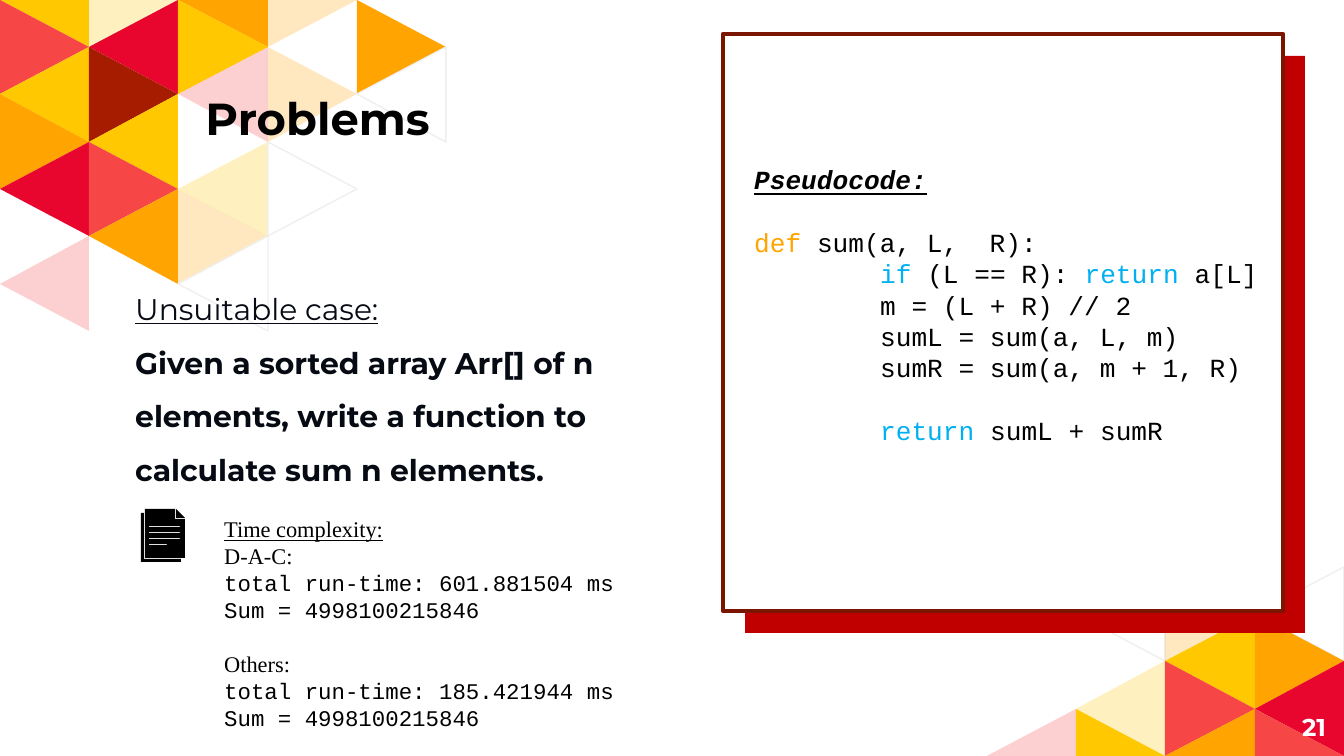
from lxml.etree import SubElement
from pptx import Presentation
from pptx.dml.color import RGBColor
from pptx.enum.shapes import MSO_SHAPE as Shape
from pptx.enum.text import MSO_ANCHOR as Anchor, MSO_AUTO_SIZE as AutoSize, PP_ALIGN as Align
from pptx.oxml.ns import qn
from pptx.util import Pt

PX = 914400 / 134.4
WIDTH, HEIGHT = 1344, 756

BLACK, WHITE = "000000", "FFFFFF"
COLORS = {"O": "FFA400", "Y": "FFC800", "C": "F64646", "R": "E8062F", "B": "A61C00", "W": WHITE}
KEYWORDS = {"def": "FFA400", "if": "00B0F0", "return": "00B0F0"}

TOP_MOSAIC = ["YyOo", "CRY.O", "YBcoW", "OY", "RCyW", ".Oo", "c.W"]
BOTTOM_MOSAIC = [".WoW", "..YO", ".yCR", "cYOC"]

CODE = [
    (("if", " (L == R): ", "return", " a[L]"), False),
    (("m = (L + R) // 2",), False),
    (("sumL = sum(a, L, m)",), False),
    (("sumR = sum(a, m + 1, R)",), False),
    (("return", " sumL + sumR"), True),
]
TIMINGS = [("D-A-C:", "601.881504", False), ("Others:", "185.421944", True)]


def emu(px):
    return round(px * PX)


def rgb(color):
    return RGBColor.from_string(color)


def paint(sp, fill, line=None, weight=0.75, opacity=100):
    sp.shadow.inherit = False
    sp.fill.solid()
    sp.fill.fore_color.rgb = rgb(fill)
    if opacity < 100:
        clr = sp.element.spPr.find(qn("a:solidFill"))[0]
        SubElement(clr, qn("a:alpha")).set("val", str(opacity * 1000))
    if line:
        sp.line.color.rgb = rgb(line)
        sp.line.width = Pt(weight)
    else:
        sp.line.fill.background()


def add_outline(slide, contours, fill, line=None, opacity=100):
    first, *others = contours
    builder = slide.shapes.build_freeform(*first[0], scale=PX)
    builder.add_line_segments(first[1:], close=True)
    for points in others:
        builder.move_to(*points[0])
        builder.add_line_segments(points[1:], close=True)
    paint(builder.convert_to_shape(), fill, line, opacity=opacity)


def add_mosaic(slide, rows, left, top, first_row):
    def corner(col, row):
        y = top + round(row * 189 / 4)
        return left + round(col * 446 / 5), min(max(y, 0), HEIGHT)

    for row, cells in enumerate(rows, first_row):
        for col, key in enumerate(cells):
            if key == ".":
                continue
            points_right = (col + row) % 2 == 0
            base, tip = (col, col + 1) if points_right else (col + 1, col)
            triangle = [corner(base, row), corner(tip, row + 1), corner(base, row + 2)]
            add_outline(slide, [triangle], COLORS[key.upper()],
                        line="EFEFEF" if key == "W" else None,
                        opacity=25 if key.islower() else 100)


def add_panel(slide, x, y, fill, line=None):
    sp = slide.shapes.add_shape(Shape.RECTANGLE, emu(x), emu(y), emu(560), emu(577))
    paint(sp, fill, line, weight=2.5)


def add_text(slide, x, y, w, h):
    tf = slide.shapes.add_textbox(emu(x), emu(y), emu(w), emu(h)).text_frame
    tf.word_wrap = True
    return tf


def set_font(p, name, size, color, bold=False, italic=False, underline=False):
    for r in p.runs:
        font = r.font
        font.name, font.size = name, Pt(size)
        font.bold, font.italic, font.underline = bold, italic, underline
        font.color.rgb = rgb(KEYWORDS.get(r.text, color))


def add_line(tf, pieces, name, size, color=BLACK, spacing=None, gap=False, indent=0, **style):
    p = tf.add_paragraph() if tf.paragraphs[0].runs else tf.paragraphs[0]
    for piece in pieces:
        p.add_run().text = piece
    set_font(p, name, size, color, **style)
    p.line_spacing = spacing or Pt(size * 1.2)
    if gap:
        p.space_before = Pt(size * 1.2)
    if indent:
        p._p.get_or_add_pPr().set("marL", str(emu(indent)))


def add_title(slide):
    sp = slide.shapes.title
    sp.left, sp.top, sp.width, sp.height = emu(192), emu(60), emu(348), emu(98)
    sp.element.getparent().append(sp.element)
    tf = sp.text_frame
    tf.text = "Problems"
    tf.auto_size = AutoSize.NONE
    tf.vertical_anchor = Anchor.BOTTOM
    tf.margin_top = tf.margin_bottom = emu(13)
    p = tf.paragraphs[0]
    p.alignment = Align.LEFT
    set_font(p, "Montserrat", 24, BLACK, bold=True)


def add_page_number(slide):
    tf = add_text(slide, 1258, 698, 81, 58)
    tf.text = "21"
    tf.vertical_anchor = Anchor.MIDDLE
    p = tf.paragraphs[0]
    p.alignment = Align.RIGHT
    set_font(p, "Montserrat", 13, WHITE, bold=True)


def add_problem(slide):
    tf = add_text(slide, 122, 266, 564, 224)
    add_line(tf, ["Unsuitable case:"], "Montserrat", 16, "060A12", 1.5, underline=True)
    add_line(tf, ["Given a sorted array Arr[] of n elements, write a function to calculate sum n elements."],
             "Montserrat", 16, "060A12", 1.5, bold=True)


def add_timings(slide):
    tf = add_text(slide, 211, 509, 489, 231)
    add_line(tf, ["Time complexity:"], "Times New Roman", 12, underline=True)
    for method, time, gap in TIMINGS:
        add_line(tf, [method], "Times New Roman", 12, gap=gap)
        add_line(tf, [f"total run-time: {time} ms"], "Courier New", 12)
        add_line(tf, ["Sum = 4998100215846"], "Courier New", 12)


def add_pseudocode(slide):
    tf = add_text(slide, 741, 157, 590, 298)
    add_line(tf, ["Pseudocode:"], "Courier New", 14, bold=True, italic=True, underline=True)
    add_line(tf, ["def", " sum(a, L,  R):"], "Courier New", 14, gap=True)
    for pieces, gap in CODE:
        add_line(tf, pieces, "Courier New", 14, gap=gap, indent=126)


def add_document_icon(slide):
    back = [(141, 513), (144, 513), (144, 559), (181, 559), (181, 562), (141, 562)]
    page = [(145, 509), (175, 509), (175, 519), (185, 519), (185, 558), (145, 558)]
    fold = [(176, 509), (176, 518), (185, 518)]
    rules = []
    for i, right in enumerate([180, 180, 180, 167]):
        y = 526 + 6 * i
        rules.append([(149, y), (right, y), (right, y + 1), (149, y + 1)])
    for contours in ([back], [page, *rules], [fold]):
        add_outline(slide, contours, BLACK)


def main():
    prs = Presentation()
    prs.slide_width, prs.slide_height = emu(WIDTH), emu(HEIGHT)
    slide = prs.slides.add_slide(prs.slide_layouts[5])
    add_mosaic(slide, BOTTOM_MOSAIC, 987, 567, 0)
    add_mosaic(slide, TOP_MOSAIC, 0, 0, -1)
    add_panel(slide, 745, 56, "C00000")
    add_title(slide)
    add_page_number(slide)
    add_panel(slide, 723, 34, WHITE, "7B1500")
    add_problem(slide)
    add_timings(slide)
    add_pseudocode(slide)
    add_document_icon(slide)
    prs.save("out.pptx")


if __name__ == "__main__":
    main()
